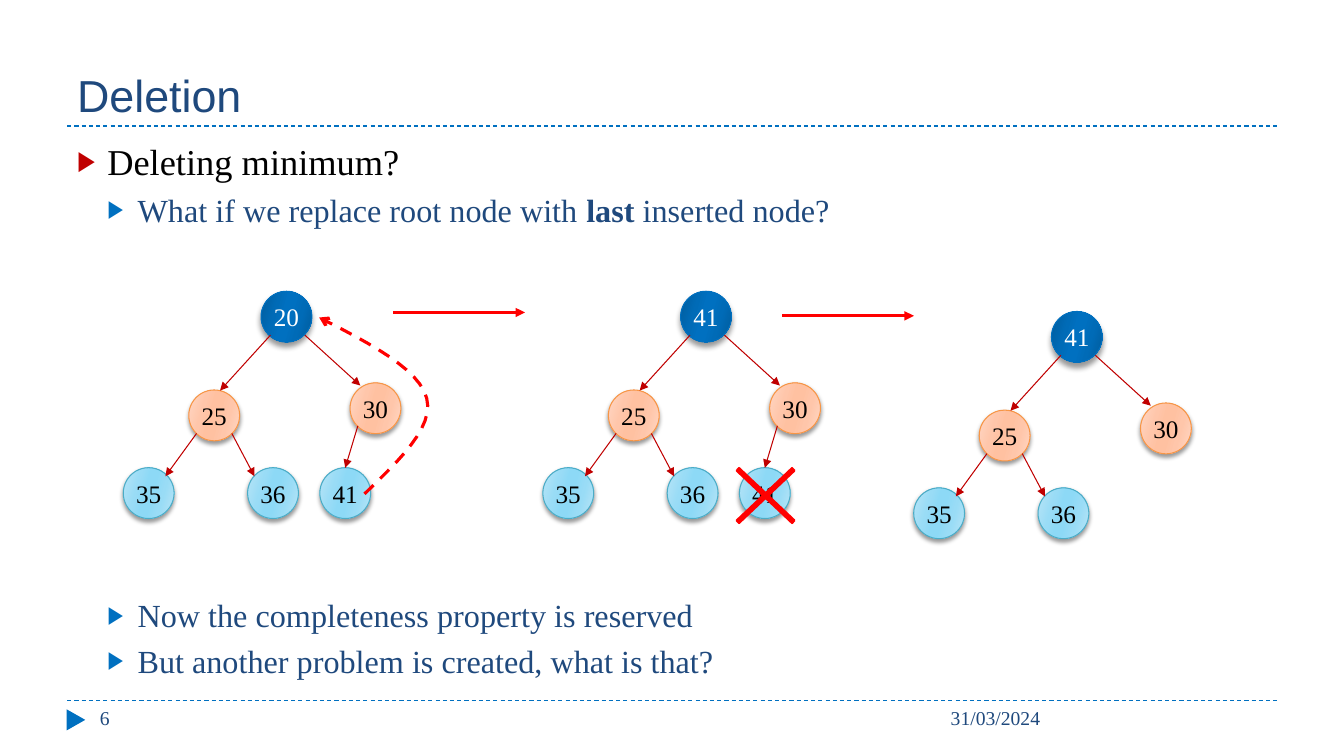
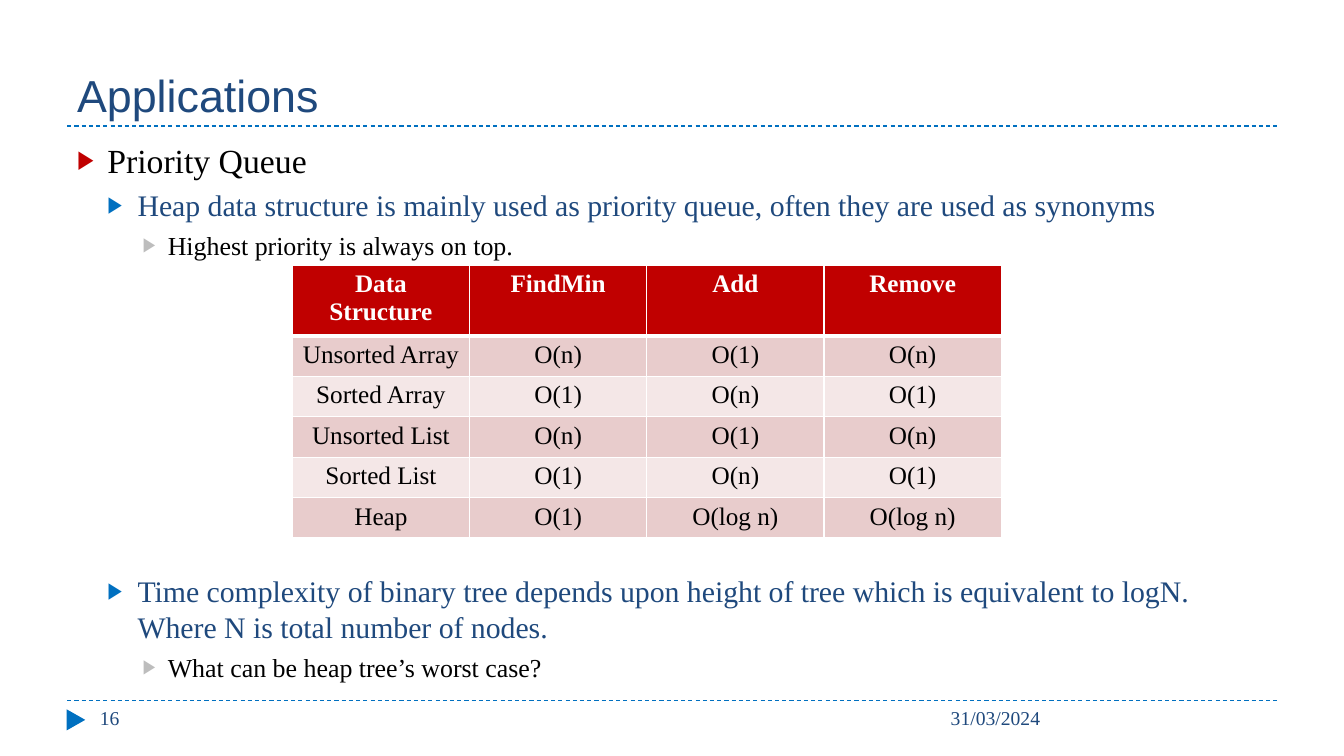
from dataclasses import dataclass

from lxml.etree import SubElement
from pptx import Presentation
from pptx.dml.color import RGBColor
from pptx.enum.dml import MSO_LINE
from pptx.enum.shapes import MSO_CONNECTOR, MSO_SHAPE
from pptx.enum.text import MSO_ANCHOR, PP_ALIGN
from pptx.oxml.ns import qn
from pptx.util import Inches, Pt


@dataclass(frozen=True)
class Theme:
    navy: str = "1F497D"
    blue: str = "0070C0"
    crimson: str = "C00000"
    red: str = "FF0000"
    gray: str = "BDBDBD"
    black: str = "000000"
    white: str = "FFFFFF"
    bands: tuple = ("E8CCCC", "F4E7E7")
    head: str = "Arial"
    body: str = "Times New Roman"
    title: float = 32
    label: float = 18
    small: float = 14
    wide: tuple = (26, 23, 20)
    tight: tuple = (24.1, 21.3, 18.5)
    gap: float = 5


THEME = Theme()
UNIT = Inches(7.5) // 90
NODE = 6.05

LEVELS = (
    (0.3, 0.3, THEME.crimson, THEME.black),
    (0.6, 0.3, THEME.blue, THEME.navy),
    (0.9, 0.25, THEME.gray, THEME.black),
)

TONES = {
    "root": (("005C9D", "006BB7", "0070C0"), "0070C0", THEME.white, 4, 3.4),
    "inner": (("FFD7C5", "FFC6AA", "FFC1A1"), "F79646", THEME.black, 3, 2),
    "leaf": (("B9E5F7", "99DCF6", "8DD9F6"), "4BACC6", THEME.black, 3, 2),
}
STOPS = ((0, 0), (30, 1), (45, 2), (55, 2), (73, 1), (100, 0))

SPOTS = (
    ("root", (0, 0), None),
    ("inner", (-8.6, 11.75), (-1.9, 2.2, -7.9, 8.8)),
    ("inner", (10.6, 10.9), (2.2, 2.2, 8.8, 8.2)),
    ("leaf", (-16.4, 21), (-10.7, 13.9, -14.4, 19)),
    ("leaf", (-1.6, 21), (-6.5, 13.9, -3.8, 19)),
    ("leaf", (7, 21), (8.5, 13, 7, 18)),
)


def emu(*spans):
    return [round(span * UNIT) for span in spans]


def curve(start, one, two, end, steps=12):
    for step in range(1, steps + 1):
        t = step / steps
        u = 1 - t
        yield tuple(
            u**3 * a + 3 * u * u * t * b + 3 * u * t * t * c + t**3 * d
            for a, b, c, d in zip(start, one, two, end)
        )


class Deck:
    """Draws styled elements on a grid of 160 columns by 90 rows."""

    def __init__(self, theme):
        self.theme = theme
        self.show = Presentation()
        self.show.slide_width, self.show.slide_height = emu(160, 90)

    def page(self, title, number):
        t = self.theme
        self.slide = self.show.slides.add_slide(self.show.slide_layouts[6])
        self.shapes = self.slide.shapes
        for row in (83.4, 15):
            self.line((8, row, 152, row), t.blue, dash=True)
        mark = self.shape(MSO_SHAPE.ISOSCELES_TRIANGLE, (7.8, 84.6, 2.5, 2.2), t.blue)
        mark.rotation = 90
        self.text((8, 2, 144, 13), title, t.head, t.title, MSO_ANCHOR.BOTTOM)
        self.text((112, 83.4, 40, 4.8), "31/03/2024", t.body, t.small)
        self.text((10.7, 83.4, 34.7, 4.8), number, t.body, t.small)

    def font(self, run, size, color, name=None, bold=False):
        run.font.name = name or self.theme.body
        run.font.size = Pt(size)
        run.font.bold = bold
        run.font.color.rgb = RGBColor.from_string(color)

    def frame(self, box, anchor=MSO_ANCHOR.TOP):
        frame = self.shapes.add_textbox(*emu(*box)).text_frame
        frame.word_wrap = True
        frame.vertical_anchor = anchor
        return frame

    def text(self, box, words, name, size, anchor=MSO_ANCHOR.TOP):
        frame = self.frame(box, anchor)
        frame.text = words
        self.font(frame.paragraphs[0].runs[0], size, self.theme.navy, name)

    def list(self, items, sizes):
        frame = self.frame((8, 16, 144, 64.8))
        for index, (level, words, gap) in enumerate(items):
            para = frame.add_paragraph() if index else frame.paragraphs[0]
            para.level = level
            para.space_before = Pt(gap)
            indent, hang, mark, color = LEVELS[level]
            props = para._p.get_or_add_pPr()
            props.set("marL", str(Inches(indent)))
            props.set("indent", str(-Inches(hang)))
            tint = SubElement(props, qn("a:buClr"))
            SubElement(tint, qn("a:srgbClr"), val=mark)
            SubElement(props, qn("a:buSzPct"), val="76000")
            SubElement(props, qn("a:buFont"), typeface=self.theme.head)
            SubElement(props, qn("a:buChar"), char="▶")
            for part, piece in enumerate(words.split("*")):
                run = para.add_run()
                run.text = piece
                self.font(run, sizes[level], color, bold=part % 2 == 1)

    def shape(self, kind, box, fill, edge=None, width=0.75):
        shape = self.shapes.add_shape(kind, *emu(*box))
        shape.shadow.inherit = False
        shape.fill.solid()
        shape.fill.fore_color.rgb = RGBColor.from_string(fill)
        if edge:
            self.stroke(shape, edge, width)
        else:
            shape.line.fill.background()
        return shape

    def stroke(self, shape, color, width, dash=False, tip=None):
        shape.line.color.rgb = RGBColor.from_string(color)
        shape.line.width = Pt(width)
        if dash:
            shape.line.dash_style = MSO_LINE.DASH
        if tip:
            SubElement(shape._element.spPr.find(qn("a:ln")), qn("a:tailEnd"), type=tip)

    def line(self, ends, color, width=0.75, dash=False, tip=None):
        line = self.shapes.add_connector(MSO_CONNECTOR.STRAIGHT, *emu(*ends))
        self.stroke(line, color, width, dash, tip)
        SubElement(line._element.spPr, qn("a:effectLst"))

    def bend(self, start, *curves):
        points = []
        here = start
        for one, two, end in curves:
            points += [emu(*point) for point in curve(here, one, two, end)]
            here = end
        pen = self.shapes.build_freeform(*emu(*start))
        pen.add_line_segments(points, close=False)
        shape = pen.convert_to_shape()
        shape.shadow.inherit = False
        shape.fill.background()
        self.stroke(shape, self.theme.red, 2.25, True, "arrow")

    def node(self, x, y, label, tone):
        shades, edge, ink, blur, drop = TONES[tone]
        box = (x - NODE / 2, y - NODE / 2, NODE, NODE)
        shape = self.shape(MSO_SHAPE.OVAL, box, shades[2], edge)
        shape.fill.gradient()
        shape.fill.gradient_angle = 344
        props = shape._element.spPr
        stops = props.find(qn("a:gradFill")).find(qn("a:gsLst"))
        for stop in list(stops):
            stops.remove(stop)
        for place, shade in STOPS:
            stop = SubElement(stops, qn("a:gs"), pos=str(place * 1000))
            SubElement(stop, qn("a:srgbClr"), val=shades[shade])
        cast = SubElement(
            props.find(qn("a:effectLst")), qn("a:outerShdw"),
            blurRad=str(Pt(blur)), dist=str(Pt(drop)), dir="5400000", rotWithShape="0",
        )
        tint = SubElement(cast, qn("a:srgbClr"), val=self.theme.black)
        SubElement(tint, qn("a:alpha"), val="40000")
        frame = shape.text_frame
        frame.margin_left = frame.margin_right = 0
        frame.vertical_anchor = MSO_ANCHOR.MIDDLE
        frame.text = label
        frame.paragraphs[0].alignment = PP_ALIGN.CENTER
        self.font(frame.paragraphs[0].runs[0], self.theme.label, ink)

    def tree(self, x, y, labels):
        spots = list(zip(labels, SPOTS))
        for label, (tone, (dx, dy), edge) in spots:
            self.node(x + dx, y + dy, label, tone)
        for label, (tone, spot, edge) in spots:
            if edge:
                ends = [a + b for a, b in zip(edge, (x, y, x, y))]
                self.line(ends, self.theme.crimson, tip="triangle")

    def arrow(self, x, y, span):
        self.line((x, y, x + span, y), self.theme.red, 2.25, tip="triangle")

    def cross(self, box):
        shape = self.shape(MSO_SHAPE.MATH_MULTIPLY, box, self.theme.red, self.theme.red, 1.5)
        shape.adjustments[0] = 0.035

    def table(self, x, y, width, row, data):
        t = self.theme
        box = emu(x, y, width, row * len(data))
        grid = self.shapes.add_table(len(data), len(data[0]), *box).table
        grid.horz_banding = False
        for line in grid.rows:
            line.height = emu(row)[0]
        for r, words in enumerate(data):
            for c, word in enumerate(words):
                cell = grid.cell(r, c)
                cell.text = word
                para = cell.text_frame.paragraphs[0]
                para.alignment = PP_ALIGN.CENTER
                self.font(para.runs[0], t.label, t.black if r else t.white, bold=r == 0)
                fill = t.bands[(r - 1) % 2] if r else t.crimson
                cell.fill.solid()
                cell.fill.fore_color.rgb = RGBColor.from_string(fill)
                self.edges(cell, {"T": 3 if r == 1 else 1, "B": 1 if r else 3})

    def edges(self, cell, widths):
        props = cell._tc.get_or_add_tcPr()
        for index, side in enumerate("LRTB"):
            width = str(Pt(widths.get(side, 1)))
            edge = SubElement(props, qn("a:ln" + side), w=width)
            props.insert(index, edge)
            fill = SubElement(edge, qn("a:solidFill"))
            SubElement(fill, qn("a:srgbClr"), val=self.theme.white)


def main():
    deck = Deck(THEME)
    gap = THEME.gap

    deck.page("Deletion", "6")
    deck.list((
        (0, "Deleting minimum?", gap),
        (1, "What if we replace root node with *last* inserted node?", gap),
        (1, "Now the completeness property is reserved", 262),
        (1, "But another problem is created, what is that?", gap),
    ), THEME.wide)
    deck.tree(128.2, 40.1, ("41", "25", "30", "35", "36"))
    deck.tree(34.1, 37.7, ("20", "25", "30", "35", "36", "41"))
    deck.arrow(46.8, 37.2, 15.7)
    deck.bend(
        (43.4, 58.8),
        ((47.5, 54.8), (51.7, 50.9), (50.8, 47.4)),
        ((49.9, 43.9), (43.9, 40.8), (38, 37.8)),
    )
    deck.tree(84.05, 37.7, ("41", "25", "30", "35", "36", "41"))
    deck.arrow(93.1, 37.6, 15.7)
    deck.cross((84.8, 53, 12.7, 12))

    deck.page("Applications", "16")
    deck.list((
        (0, "Priority Queue", gap),
        (1, "Heap data structure is mainly used as priority queue, often they are used as synonyms", gap),
        (2, "Highest priority is always on top.", gap),
        (1, "Time complexity of binary tree depends upon height of tree which is equivalent to logN. Where N is total number of nodes.", 223),
        (2, "What can be heap tree’s worst case?", gap),
    ), THEME.tight)
    deck.table(34.8, 31.6, 84.4, 4.8, (
        ("Data Structure", "FindMin", "Add", "Remove"),
        ("Unsorted Array", "O(n)", "O(1)", "O(n)"),
        ("Sorted Array", "O(1)", "O(n)", "O(1)"),
        ("Unsorted List", "O(n)", "O(1)", "O(n)"),
        ("Sorted List", "O(1)", "O(n)", "O(1)"),
        ("Heap", "O(1)", "O(log n)", "O(log n)"),
    ))
    deck.show.save("out.pptx")


if __name__ == "__main__":
    main()
